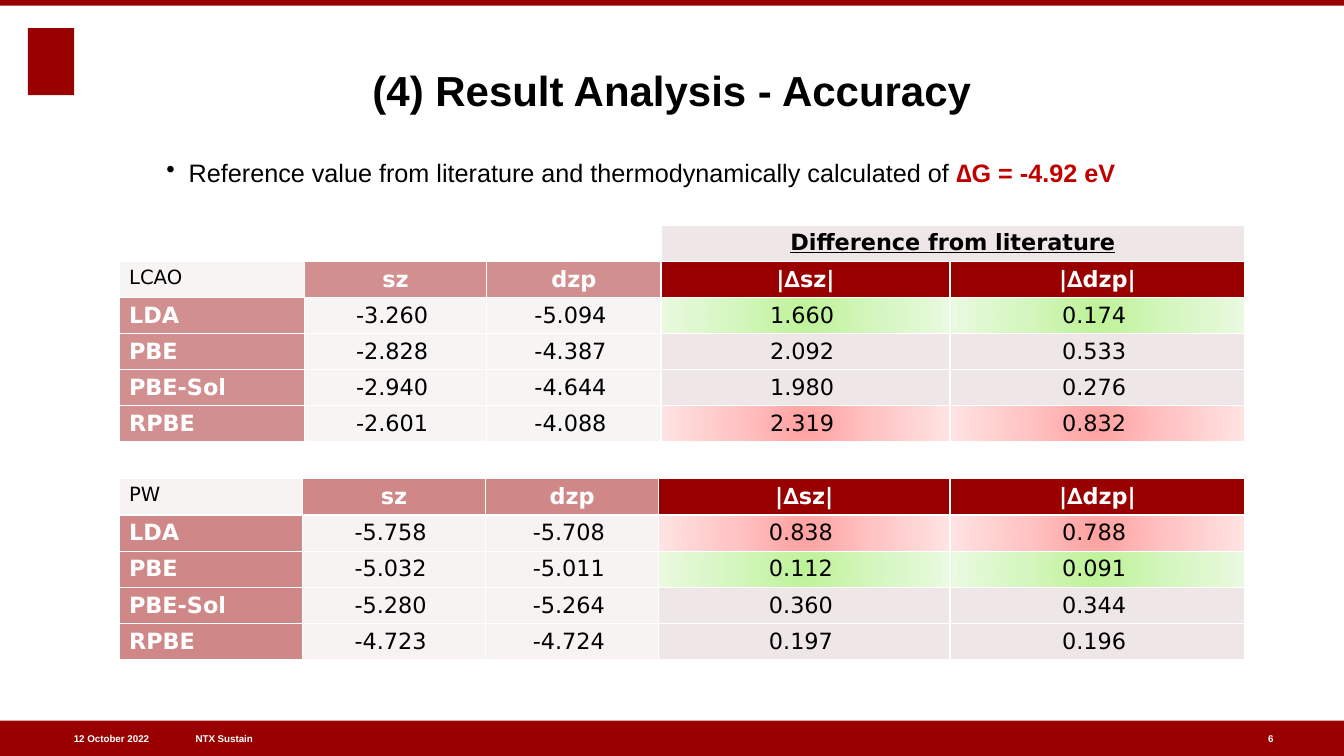
from lxml import etree
from pptx import Presentation
from pptx.dml.color import RGBColor
from pptx.enum.shapes import MSO_SHAPE
from pptx.enum.text import MSO_ANCHOR, MSO_AUTO_SIZE, PP_ALIGN
from pptx.oxml import parse_xml
from pptx.oxml.ns import nsdecls, qn
from pptx.util import Pt

RECTANGLE = MSO_SHAPE.RECTANGLE
TOP, MIDDLE, BOTTOM = MSO_ANCHOR.TOP, MSO_ANCHOR.MIDDLE, MSO_ANCHOR.BOTTOM
LEFT, CENTER, RIGHT = PP_ALIGN.LEFT, PP_ALIGN.CENTER, PP_ALIGN.RIGHT
NO_AUTOFIT = MSO_AUTO_SIZE.NONE
RED, PALE, ACCENT = "990000", "EFE7E7", "C00000"
WHITE, BLACK = "FFFFFF", "000000"
BEST = ("BEF297", "D5F6C0", "EAFAE0")
WORST = ("FFA0A0", "FFC5C5", "FFE3E3")
METHOD_HEADS = ("sz", "dzp", "|∆sz|", "|∆dzp|")
LCAO_ROWS = (
    ("LDA", "-3.260", "-5.094", "1.660", "0.174"),
    ("PBE", "-2.828", "-4.387", "2.092", "0.533"),
    ("PBE-Sol", "-2.940", "-4.644", "1.980", "0.276"),
    ("RPBE", "-2.601", "-4.088", "2.319", "0.832"),
)
PW_ROWS = (
    ("LDA", "-5.758", "-5.708", "0.838", "0.788"),
    ("PBE", "-5.032", "-5.011", "0.112", "0.091"),
    ("PBE-Sol", "-5.280", "-5.264", "0.360", "0.344"),
    ("RPBE", "-4.723", "-4.724", "0.197", "0.196"),
)


def color(code):
    return RGBColor.from_string(code)


class AccuracySlide:
    """Style and drawing methods for the accuracy slide."""

    text_font = "Arial"
    table_font = "DejaVu Sans"

    def __init__(self, deck):
        self.page = deck.slides.add_slide(deck.slide_layouts[5])

    def style(self, paragraph, size, code=BLACK, bold=False, align=LEFT, name=None):
        paragraph.alignment = align
        font = paragraph.font
        font.name = name or self.text_font
        font.size = Pt(size)
        font.bold = bold
        font.color.rgb = color(code)

    def frame(self, box, anchor):
        frame = box.text_frame
        frame.word_wrap = True
        frame.auto_size = NO_AUTOFIT
        frame.vertical_anchor = anchor
        frame.margin_left = frame.margin_right = Pt(0)
        frame.margin_top = frame.margin_bottom = Pt(0)
        return frame

    def block(self, left, top, width, height):
        box = self.page.shapes.add_shape(
            RECTANGLE, Pt(left), Pt(top), Pt(width), Pt(height))
        box.shadow.inherit = False
        box.fill.solid()
        box.fill.fore_color.rgb = color(RED)
        box.line.fill.background()

    def title(self, text, left, top, width, height):
        box = self.page.shapes.title
        box.left, box.top, box.width, box.height = map(Pt, (left, top, width, height))
        frame = self.frame(box, BOTTOM)
        frame.text = text
        self.style(frame.paragraphs[0], 30, bold=True, align=CENTER)

    def text_box(self, left, top, width, height, anchor):
        box = self.page.shapes.add_textbox(Pt(left), Pt(top), Pt(width), Pt(height))
        return self.frame(box, anchor)

    def footer(self, text, left, width, align=LEFT):
        frame = self.text_box(left, 514.8, width, 25.2, MIDDLE)
        frame.text = text
        self.style(frame.paragraphs[0], 7, WHITE, True, align)

    def bullet(self, text, highlight, left, top, width, height):
        para = self.text_box(left, top, width, height, TOP).paragraphs[0]
        self.style(para, 18)
        para.add_run().text = text
        span = para.add_run()
        span.text = highlight
        span.font.bold = True
        span.font.color.rgb = color(ACCENT)
        properties = para._p.get_or_add_pPr()
        properties.set("marL", str(Pt(16)))
        properties.set("indent", str(Pt(-16)))
        mark = parse_xml(f'<a:buChar {nsdecls("a")} char="•"/>')
        properties.find(qn("a:defRPr")).addprevious(mark)

    def fill(self, cell, code, alpha=None):
        cell.fill.solid()
        cell.fill.fore_color.rgb = color(code)
        if alpha:
            tone = cell._tc.tcPr.find(qn("a:solidFill"))[0]
            etree.SubElement(tone, qn("a:alpha")).set("val", str(alpha * 1000))

    def glow(self, cell, codes):
        stops = "".join(
            f'<a:gs pos="{50000 * step}"><a:srgbClr val="{code}"/></a:gs>'
            for step, code in enumerate(codes))
        cell._tc.get_or_add_tcPr().append(parse_xml(
            f'<a:gradFill {nsdecls("a")}><a:gsLst>{stops}</a:gsLst>'
            '<a:path path="circle"><a:fillToRect l="50000" t="50000" r="50000"'
            ' b="50000"/></a:path></a:gradFill>'))

    def cell_text(self, cell, text, size=16, code=BLACK, bold=False, align=CENTER):
        cell.text = text
        self.style(cell.text_frame.paragraphs[0], size, code, bold, align,
                   self.table_font)

    def energy_table(self, method, rows, top, row_height, widths, alpha,
                     best, worst, caption=None):
        first = 1 if caption else 0
        count = len(rows) + 1 + first
        table = self.page.shapes.add_table(
            count, len(widths), Pt(85), Pt(top),
            Pt(sum(widths)), Pt(row_height * count)).table
        table.horz_banding = False
        for column, width in zip(table.columns, widths):
            column.width = Pt(width)
        for row in table.rows:
            row.height = Pt(row_height)
        if caption:
            self.caption(table, caption)
        for index, text in enumerate((method, *METHOD_HEADS)):
            cell = table.cell(first, index)
            if index == 0:
                self.cell_text(cell, text, 14, align=LEFT)
                self.fill(cell, PALE, alpha)
            else:
                self.cell_text(cell, text, code=WHITE, bold=True)
                self.fill(cell, RED, alpha if index < 3 else None)
        for line, values in enumerate(rows):
            for index, text in enumerate(values):
                cell = table.cell(first + 1 + line, index)
                if index == 0:
                    self.cell_text(cell, text, code=WHITE, bold=True, align=LEFT)
                    self.fill(cell, RED, alpha)
                    continue
                self.cell_text(cell, text)
                cell.margin_right = Pt(12)
                if index < 3:
                    self.fill(cell, PALE, alpha)
                elif values[0] in (best, worst):
                    self.glow(cell, BEST if values[0] == best else WORST)
                else:
                    self.fill(cell, PALE)

    def caption(self, table, text):
        for index in range(3):
            cell = table.cell(0, index)
            self.cell_text(cell, "")
            cell.fill.background()
        cell = table.cell(0, 3)
        cell.merge(table.cell(0, 4))
        self.cell_text(cell, text, bold=True)
        cell.text_frame.paragraphs[0].font.underline = True
        self.fill(cell, PALE)


def main():
    deck = Presentation()
    deck.slide_width, deck.slide_height = Pt(960), Pt(540)
    slide = AccuracySlide(deck)
    slide.block(20, 20, 33, 48)
    slide.block(0, 514.8, 960, 25.2)
    slide.block(0, 0, 960, 4)
    slide.footer("NTX Sustain", 139.7, 268)
    slide.footer("12 October 2022", 19.5, 87, RIGHT)
    slide.footer("6", 905.8, 34)
    slide.title("(4) Result Analysis - Accuracy", 0, 6, 960, 76)
    slide.energy_table("LCAO", LCAO_ROWS, 160.9, 25.8,
                       (132.3, 130.4, 124.4, 206.5, 210.7), 44, "LDA", "RPBE",
                       "Difference from literature")
    slide.energy_table("PW", PW_ROWS, 341.9, 25.92,
                       (130.8, 131.2, 123.5, 208.1, 210.7), 47, "PBE", "LDA")
    slide.bullet("Reference value from literature and thermodynamically calculated of ",
                 "∆G = -4.92 eV", 118.8, 112.6, 804, 54)
    deck.save("out.pptx")


if __name__ == "__main__":
    main()
